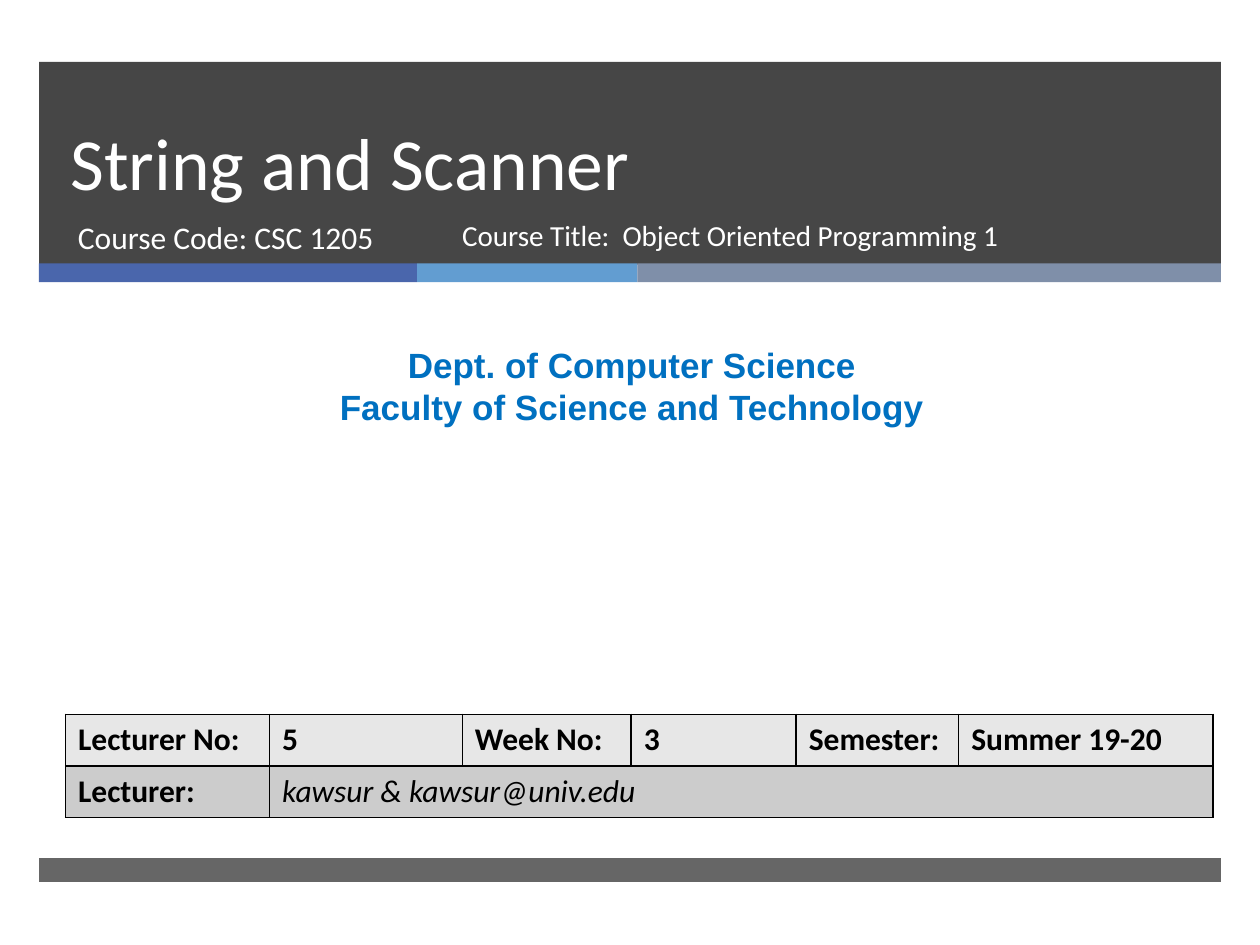
from lxml import etree
from pptx import Presentation
from pptx.dml.color import RGBColor
from pptx.enum.shapes import MSO_SHAPE as Shape
from pptx.enum.text import MSO_ANCHOR as Anchor, PP_ALIGN as Align
from pptx.oxml.ns import qn
from pptx.util import Inches, Pt

COLORS = {
    "dark": "262626", "indigo": "4A66AC", "sky": "629DD1", "slate": "7F8FA9",
    "white": "FFFFFF", "blue": "0070C0", "black": "000000",
    "light_row": "E7E7E7", "dark_row": "CCCCCC",
}

TITLE = "String and Scanner"
COURSE_CODE = "Course Code: CSC 1205"
COURSE_TITLE = "Course Title:  Object Oriented Programming 1"
DEPARTMENT = ["Dept. of Computer Science", "Faculty of Science and Technology"]
LECTURE_ROW = ["Lecturer No:", "5", "Week No:", "3", "Semester:", "Summer 19-20"]
LECTURER_ROW = ["Lecturer:", "kawsur & kawsur@univ.edu"]
COLUMN_WIDTHS = [1.62, 1.53, 1.34, 1.31, 1.29, 2.02]
ROW_HEIGHT = 0.41

BAND_LEFT, BAND_WIDTH = 0.31, 9.38
# top, height, colour, opacity in percent
BANDS = [(0.49, 1.61, "dark", 85), (6.81, 0.19, "dark", 70)]
STRIPE_TOP, STRIPE_HEIGHT = 2.09, 0.15
STRIPES = [(3, "indigo"), (1.75, "sky"), (4.63, "slate")]


def rgb(name):
    return RGBColor.from_string(COLORS[name])


def add_bar(slide, left, top, width, height, color, opacity=100):
    bar = slide.shapes.add_shape(
        Shape.RECTANGLE, Inches(left), Inches(top), Inches(width), Inches(height))
    bar.shadow.inherit = False
    bar.fill.solid()
    bar.fill.fore_color.rgb = rgb(color)
    bar.line.fill.background()
    if opacity < 100:
        fill_color = bar.fill._xPr.find(".//" + qn("a:srgbClr"))
        etree.SubElement(fill_color, qn("a:alpha"), val=str(opacity * 1000))


def write_text(frame, lines, color, line_spacing=None, align=Align.LEFT, **font):
    frame.word_wrap = True
    for index, line in enumerate(lines):
        paragraph = frame.paragraphs[0] if index == 0 else frame.add_paragraph()
        paragraph.alignment = align
        if line_spacing:
            paragraph.line_spacing = Pt(line_spacing)
        run = paragraph.add_run()
        run.text = line
        run.font.color.rgb = rgb(color)
        for name, value in ({"name": "Calibri"} | font).items():
            setattr(run.font, name, value)


def add_text(slide, box, lines, color, **text_format):
    text_box = slide.shapes.add_textbox(*map(Inches, box))
    write_text(text_box.text_frame, lines, color, **text_format)


def place_title(slide):
    title = slide.shapes.title
    slide.shapes._spTree.append(title._element)  # in front of the bands
    title.left, title.top, title.width, title.height = map(
        Inches, (0.46, 0.49, 8.54, 1.19))
    title.text_frame.vertical_anchor = Anchor.BOTTOM
    write_text(title.text_frame, [TITLE], "white", line_spacing=46, size=Pt(42))


def add_borders(cell):
    properties = cell._tc.get_or_add_tcPr()
    for index, side in enumerate(("lnL", "lnR", "lnT", "lnB")):
        line = etree.Element(qn(f"a:{side}"), w=str(Pt(1)))
        fill = etree.SubElement(line, qn("a:solidFill"))
        etree.SubElement(fill, qn("a:srgbClr"), val=COLORS["black"])
        properties.insert(index, line)


def add_lecture_table(slide):
    table = slide.shapes.add_table(
        2, len(COLUMN_WIDTHS), Inches(0.52), Inches(5.67),
        Inches(sum(COLUMN_WIDTHS)), Inches(2 * ROW_HEIGHT)).table
    for column, width in zip(table.columns, COLUMN_WIDTHS):
        column.width = Inches(width)
    for row, color in zip(table.rows, ("light_row", "dark_row")):
        row.height = Inches(ROW_HEIGHT)
        for cell in row.cells:
            cell.fill.solid()
            cell.fill.fore_color.rgb = rgb(color)
            add_borders(cell)
    table.cell(1, 1).merge(table.cell(1, len(COLUMN_WIDTHS) - 1))
    for row_index, texts in enumerate((LECTURE_ROW, LECTURER_ROW)):
        for column_index, text in enumerate(texts):
            is_name = (row_index, column_index) == (1, 1)
            write_text(table.cell(row_index, column_index).text_frame, [text],
                       "black", size=Pt(18), bold=not is_name, italic=is_name)


def main():
    presentation = Presentation()
    presentation.slide_width, presentation.slide_height = Inches(10), Inches(7.5)
    slide = presentation.slides.add_slide(presentation.slide_layouts[5])

    for top, height, color, opacity in BANDS:
        add_bar(slide, BAND_LEFT, top, BAND_WIDTH, height, color, opacity)
    left = BAND_LEFT
    for width, color in STRIPES:
        add_bar(slide, left, STRIPE_TOP, width, STRIPE_HEIGHT, color)
        left += width

    place_title(slide)
    add_text(slide, (0.52, 1.68, 3.05, 0.53), [COURSE_CODE], "white", size=Pt(18))
    add_text(slide, (0.08, 2.68, 9.87, 0.77), DEPARTMENT, "blue", line_spacing=24,
             align=Align.CENTER, name="Arial", size=Pt(20), bold=True)
    add_lecture_table(slide)
    add_text(slide, (3.57, 1.68, 4.61, 0.53), [COURSE_TITLE], "white", size=Pt(16.6))
    presentation.save("out.pptx")


if __name__ == "__main__":
    main()
